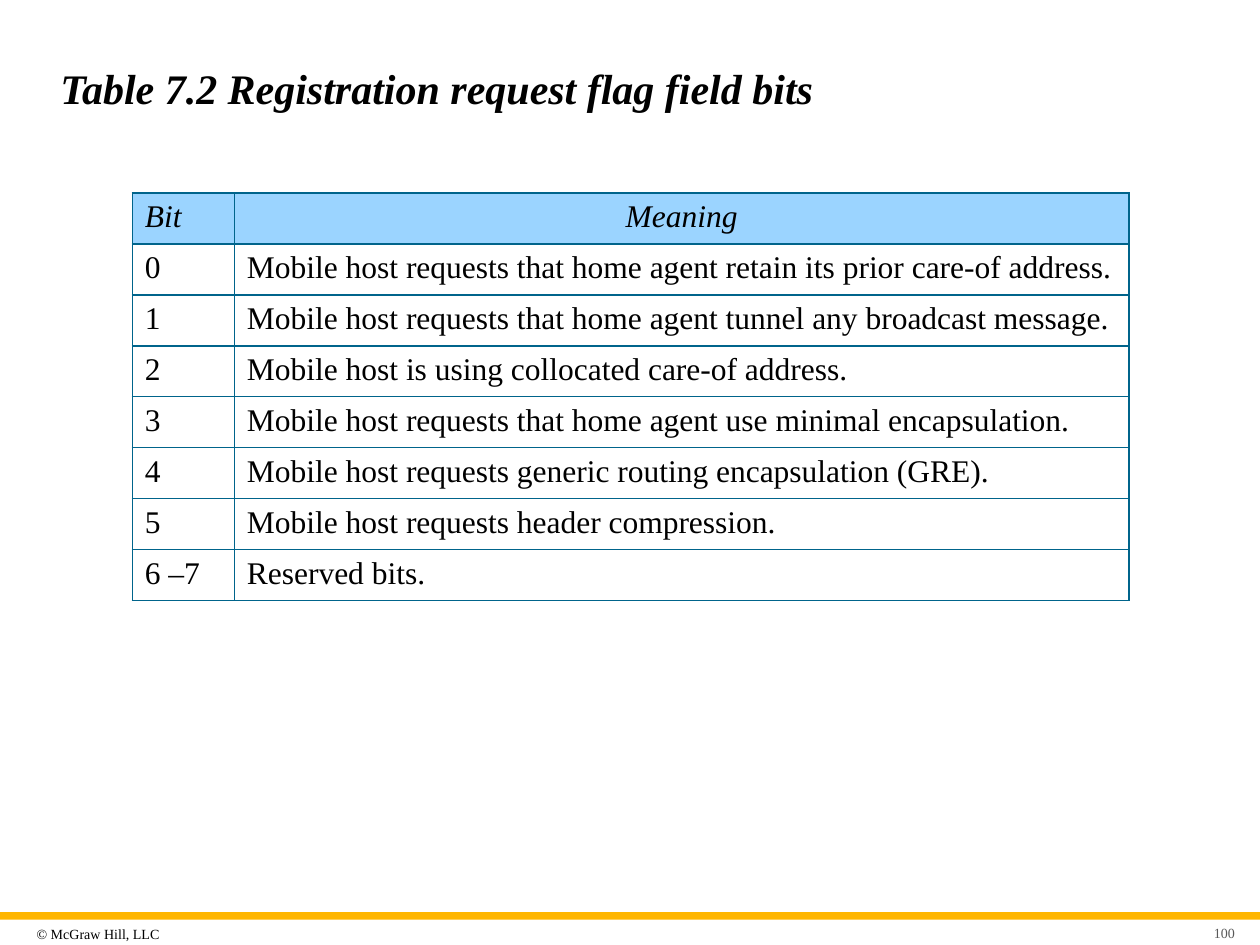
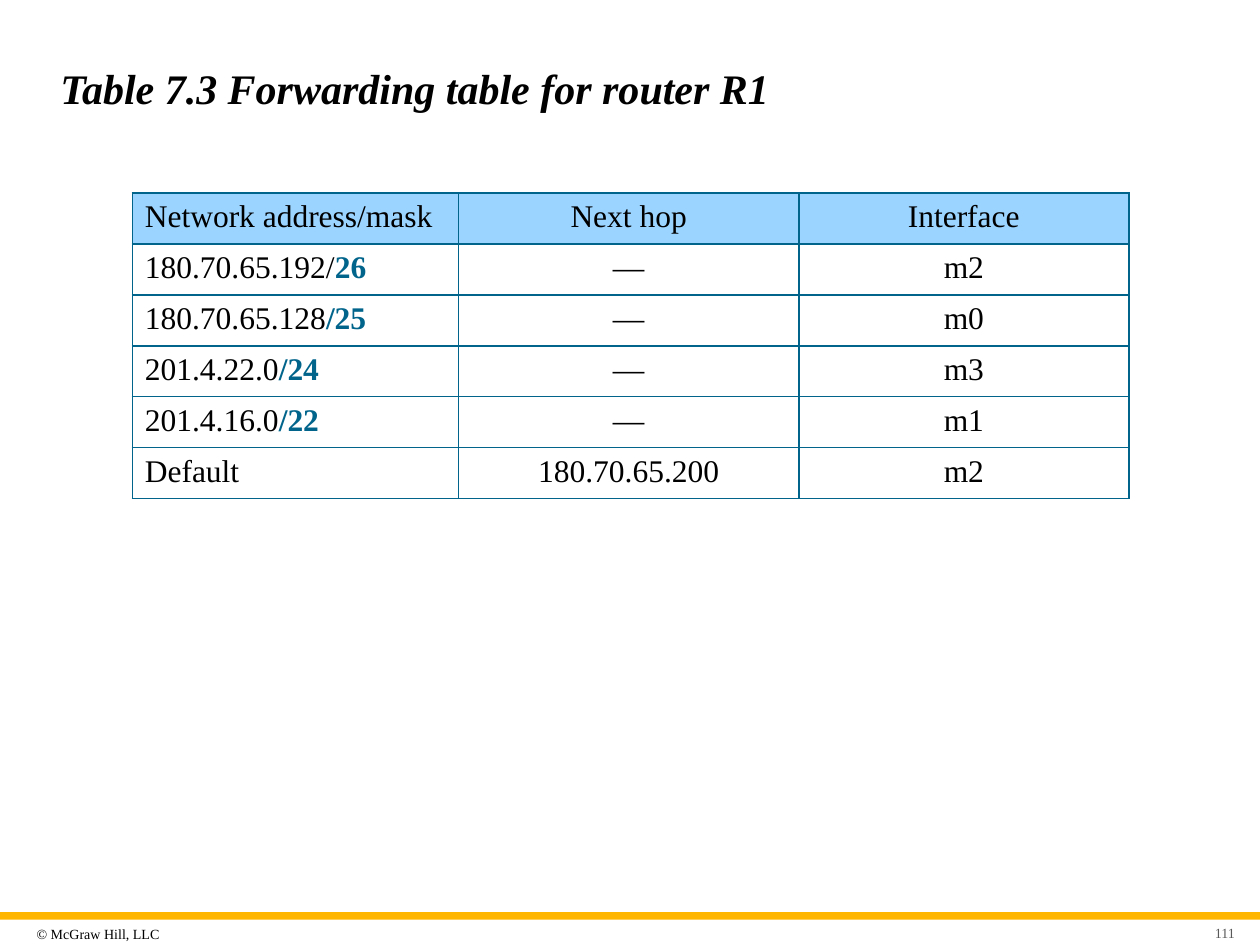
import pptx
import pptx.dml.color
import pptx.enum.shapes
import pptx.enum.text
import pptx.oxml.ns
import pptx.util
from lxml import etree
from pptx.util import Inches

ALIGN = pptx.enum.text.PP_ALIGN
COLORS = {
    "text": "000000",
    "number": "595959",
    "band": "FFB600",
    "accent": "00648B",
    "header": "9BD4FF",
    "body": "FFFFFF",
}


class Deck:
    font_name = "Times New Roman"

    def __init__(self):
        self.presentation = pptx.Presentation()
        self.presentation.slide_width = Inches(10)
        self.presentation.slide_height = Inches(7.5)
        self.slide = None

    def color(self, key):
        return pptx.dml.color.RGBColor.from_string(COLORS[key])

    def style(self, run, size, color="text", bold=False, italic=False):
        run.font.name = self.font_name
        run.font.size = pptx.util.Pt(size)
        run.font.color.rgb = self.color(color)
        run.font.bold = bold
        run.font.italic = italic

    def add_slide(self, title, number):
        self.slide = self.presentation.slides.add_slide(self.presentation.slide_layouts[6])
        self.add_band()
        self.add_text("© McGraw Hill, LLC", (0.24, 7.29, 1.35, 0.24), 8, inset=0.05)
        self.add_text(title, (0.38, 0.33, 9.25, 0.74), 24, bold=True, italic=True)
        self.add_text(str(number), (9.46, 7.31, 0.39, 0.18), 8, "number", ALIGN.RIGHT, 0.05)

    def add_band(self):
        band = self.slide.shapes.add_shape(
            pptx.enum.shapes.MSO_SHAPE.RECTANGLE,
            Inches(0), Inches(7.24), Inches(10), Inches(0.06))
        band.shadow.inherit = False
        band.fill.solid()
        band.fill.fore_color.rgb = self.color("band")
        band.line.fill.background()

    def add_text(self, text, place, size, color="text", align=ALIGN.LEFT,
                 inset=0.1, bold=False, italic=False):
        frame = self.slide.shapes.add_textbox(*map(Inches, place)).text_frame
        frame.word_wrap = True
        frame.vertical_anchor = pptx.enum.text.MSO_ANCHOR.MIDDLE
        frame.margin_left = frame.margin_right = Inches(inset)
        frame.margin_top = frame.margin_bottom = Inches(0.05)
        frame.text = text
        paragraph = frame.paragraphs[0]
        paragraph.alignment = align
        self.style(paragraph.runs[0], size, color, bold, italic)

    def add_table(self, rows, widths, height, body_aligns, italic_header=False):
        table = self.slide.shapes.add_table(
            len(rows), len(widths), Inches(1.05), Inches(1.53),
            Inches(sum(widths)), Inches(height)).table
        table.first_row = table.horz_banding = False
        for column, width in zip(table.columns, widths):
            column.width = Inches(width)
        for row_index, row in enumerate(rows):
            is_header = row_index == 0
            for column_index, content in enumerate(row):
                centred = is_header and column_index > 0
                align = ALIGN.CENTER if centred else body_aligns[column_index]
                self.fill_cell(table.cell(row_index, column_index), content, align,
                               "header" if is_header else "body",
                               is_header and italic_header)

    def fill_cell(self, cell, content, align, fill, italic):
        plain, accent = content if isinstance(content, tuple) else (content, "")
        paragraph = cell.text_frame.paragraphs[0]
        paragraph.text = plain
        paragraph.alignment = align
        self.style(paragraph.runs[0], 18, italic=italic)
        if accent:
            mask = paragraph.add_run()
            mask.text = accent
            self.style(mask, 18, "accent", bold=True)
        self.add_borders(cell)
        cell.fill.solid()
        cell.fill.fore_color.rgb = self.color(fill)

    def add_borders(self, cell):
        qn = pptx.oxml.ns.qn
        properties = cell._tc.get_or_add_tcPr()
        for side in ("a:lnL", "a:lnR", "a:lnT", "a:lnB"):
            border = etree.SubElement(properties, qn(side), w=str(pptx.util.Pt(1)))
            solid = etree.SubElement(border, qn("a:solidFill"))
            etree.SubElement(solid, qn("a:srgbClr"), val=COLORS["accent"])


def main():
    deck = Deck()

    deck.add_slide("Table 7.2 Registration request flag field bits", 100)
    flag_bits = [
        ("Bit", "Meaning"),
        ("0", "Mobile host requests that home agent retain its prior care-of address."),
        ("1", "Mobile host requests that home agent tunnel any broadcast message."),
        ("2", "Mobile host is using collocated care-of address."),
        ("3", "Mobile host requests that home agent use minimal encapsulation."),
        ("4", "Mobile host requests generic routing encapsulation (GRE)."),
        ("5", "Mobile host requests header compression."),
        ("6 –7", "Reserved bits."),
    ]
    deck.add_table(flag_bits, (0.81, 7.1), 3.24, (ALIGN.LEFT, ALIGN.LEFT), italic_header=True)

    deck.add_slide("Table 7.3 Forwarding table for router R1", 111)
    routes = [
        ("Network address/mask", "Next hop", "Interface"),
        (("180.70.65.192/", "26"), "—", "m2"),
        (("180.70.65.128", "/25"), "—", "m0"),
        (("201.4.22.0", "/24"), "—", "m3"),
        (("201.4.16.0", "/22"), "—", "m1"),
        ("Default", "180.70.65.200", "m2"),
    ]
    deck.add_table(routes, (2.59, 2.7, 2.62), 2.43, (ALIGN.LEFT, ALIGN.CENTER, ALIGN.CENTER))

    deck.presentation.save("out.pptx")


if __name__ == "__main__":
    main()
